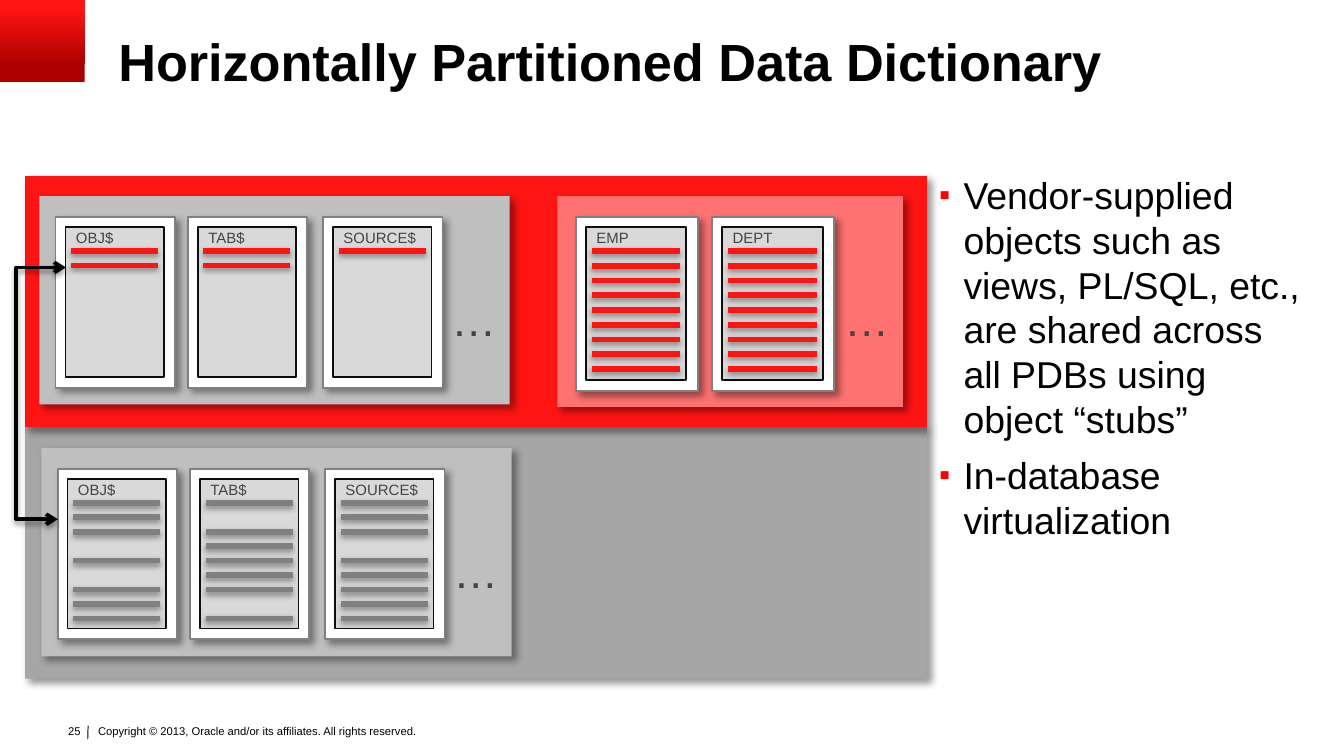
from lxml import etree
from pptx import Presentation
from pptx.dml.color import RGBColor
from pptx.enum.shapes import MSO_CONNECTOR, MSO_SHAPE
from pptx.enum.text import MSO_AUTO_SIZE, PP_ALIGN
from pptx.oxml.ns import qn
from pptx.util import Pt

RECTANGLE = MSO_SHAPE.RECTANGLE
STRAIGHT, ELBOW = MSO_CONNECTOR.STRAIGHT, MSO_CONNECTOR.ELBOW
LEFT, RIGHT = PP_ALIGN.LEFT, PP_ALIGN.RIGHT
FIT_SHAPE = MSO_AUTO_SIZE.SHAPE_TO_FIT_TEXT
FONT = "Arial"
RED, GRAY, BLACK, LABEL = "FF1414", "808080", "000000", "424545"
BOX_SHADOW = (40, 4, 3, 45)
LINE_SHADOW = (38, 3.1, 1.6, 90)
SYSTEM_STEPS = (8.7, 79.6, 152)
USER_STEPS = (9.9, 82.9)
LABEL_WIDTHS = {"OBJ$": 35, "TAB$": 34.2, "SOURCE$": 53.6, "EMP": 32, "DEPT": 36.3}
ROW_PITCH = 7.74


def color(value):
    """Turn a hex string into a colour."""
    return RGBColor.from_string(value)


def add_element(parent, tag, **attributes):
    """Append a drawing element with the given attributes."""
    values = {key: str(value) for key, value in attributes.items()}
    return etree.SubElement(parent, qn(tag), values)


def fill_effects(effects, opacity, blur, distance, angle):
    """Put an outer shadow into an effect list."""
    shadow = add_element(effects, "a:outerShdw", blurRad=Pt(blur), dist=Pt(distance),
                         dir=angle * 60000, algn="tl", rotWithShape=0)
    tint = add_element(shadow, "a:srgbClr", val=BLACK)
    add_element(tint, "a:alpha", val=opacity * 1000)


def add_box(page, left, top, width, height, fill, line=None, shadow=True):
    """Add a rectangle with optional outline and shadow."""
    box = page.shapes.add_shape(RECTANGLE, Pt(left), Pt(top), Pt(width), Pt(height))
    box.fill.solid()
    box.fill.fore_color.rgb = color(fill)
    if line:
        box.line.color.rgb = color(line)
        box.line.width = Pt(1)
    else:
        box.line.fill.background()
    box.shadow.inherit = False
    if shadow:
        fill_effects(box._element.spPr.find(qn("a:effectLst")), *BOX_SHADOW)
    return box


def add_line(page, start, end, line, width, kind=STRAIGHT, shadow=True):
    """Add a connector between two points."""
    connector = page.shapes.add_connector(kind, *map(Pt, start + end))
    connector.line.color.rgb = color(line)
    connector.line.width = Pt(width)
    effects = add_element(connector._element.spPr, "a:effectLst")
    if shadow:
        fill_effects(effects, *LINE_SHADOW)
    return connector


def add_link(page, start, end, turn):
    """Add a double-headed elbow link that turns at the given x."""
    link = add_line(page, start, end, BLACK, 2, ELBOW)
    properties = link._element.spPr
    bend = round((start[0] - turn) / (start[0] - end[0]) * 100000)
    guides = properties.find(qn("a:prstGeom")).get_or_add_avLst()
    add_element(guides, "a:gd", name="adj1", fmla=f"val {bend}")
    outline = properties.find(qn("a:ln"))
    for tag in ("a:headEnd", "a:tailEnd"):
        add_element(outline, tag, type="arrow")


def add_text(page, text, left, top, width, height, size, ink=BLACK, bold=False,
             align=LEFT, wrap=True, insets=(7.2, 3.6), spacing=None, bullet=None):
    """Add a text box with one paragraph per line of text."""
    box = page.shapes.add_textbox(Pt(left), Pt(top), Pt(width), Pt(height))
    frame = box.text_frame
    frame.word_wrap = wrap
    if not wrap:
        frame.auto_size = FIT_SHAPE
    frame.margin_left = frame.margin_right = Pt(insets[0])
    frame.margin_top = frame.margin_bottom = Pt(insets[1])
    frame.text = text
    for para in frame.paragraphs:
        para.alignment = align
        if bullet:
            add_bullet(para, bullet)
        if spacing:
            para.line_spacing = spacing
        for span in para.runs:
            span.font.name = FONT
            span.font.size = Pt(size)
            span.font.bold = bold
            span.font.color.rgb = color(ink)


def add_bullet(para, symbol):
    """Give a paragraph a red hanging bullet and space after."""
    properties = para._p.get_or_add_pPr()
    properties.set("marL", str(Pt(18)))
    properties.set("indent", str(Pt(-13)))
    add_element(add_element(properties, "a:buClr"), "a:srgbClr", val="FF0000")
    add_element(properties, "a:buSzPct", val=85000)
    add_element(properties, "a:buFont", typeface=FONT)
    add_element(properties, "a:buChar", char=symbol)
    para.space_after = Pt(6)


def add_card(page, name, left, top, ink, rows, scale):
    """Add a table card with stripes in the given row slots."""
    add_box(page, left, top, 64 * scale, 91.4 * scale, "FFFFFF", GRAY)
    add_box(page, left + 5.3, top + 5.3, 52.8 * scale, 80.2 * scale,
            "D9D9D9", "0D0D0D", shadow=False)
    add_text(page, name, left + 3.8, top + 2.6, LABEL_WIDTHS[name], 17.3, 8, LABEL, wrap=False)
    for row in rows:
        y = top + 18.2 + row * ROW_PITCH * scale
        add_line(page, (left + 8.3, y), (left + 8.3 + 46.6 * scale, y), ink, 3)


def add_panel(page, left, top, width, height, fill, ink, cards, steps=SYSTEM_STEPS, scale=1):
    """Add a panel of table cards that ends in an ellipsis."""
    add_box(page, left, top, width, height, fill)
    for step, (name, rows) in zip(steps, cards):
        add_card(page, name, left + step, top + 11.2, ink, rows, scale)
    add_text(page, "…", left + width - 38.4, top + 47.7, 38.9, 36, 24, LABEL, wrap=False)


def add_corner(page):
    """Add the red gradient block in the corner."""
    corner = add_box(page, 0, 0, 45.4, 43.9, RED, shadow=False)
    corner.fill.gradient()
    corner.fill.gradient_angle = 90
    stops = corner.fill.gradient_stops
    for stop, position, shade in zip(stops, (0.2, 0.9), ("AA0000", RED)):
        stop.position = position
        stop.color.rgb = color(shade)


def add_footer(page):
    """Add the page number, divider and copyright line."""
    add_text(page, "Copyright © 2013, Oracle and/or its affiliates. All rights reserved.",
             49.7, 386.6, 197.3, 17.3, 6, insets=(2.9, 1.4))
    add_line(page, (47.2, 388.8), (47, 396), BLACK, 0.5, shadow=False)
    add_text(page, "25", 27.9, 384.5, 22.3, 14.4, 6, align=RIGHT, wrap=False)


def main():
    """Build the slide and save the deck."""
    deck = Presentation()
    deck.slide_width, deck.slide_height = Pt(720), Pt(405)
    page = deck.slides.add_slide(deck.slide_layouts[6])
    add_footer(page)
    add_corner(page)
    add_text(page, "Horizontally Partitioned Data Dictionary", 63.4, 19.4, 648, 31.7,
             28, bold=True, insets=(0, 0), spacing=0.9)
    for top, fill in ((229, "A6A6A6"), (94.4, RED)):
        add_box(page, 13.5, top, 483.1, 134.6, fill)
    system_rows = [("OBJ$", (0, 1, 2, 4, 6, 7, 8)), ("TAB$", (0, 2, 3, 4, 5, 6, 8)),
                   ("SOURCE$", (0, 1, 2, 4, 5, 6, 7, 8))]
    local_rows = [("OBJ$", range(2)), ("TAB$", range(2)), ("SOURCE$", range(1))]
    user_rows = [("EMP", range(9)), ("DEPT", range(9))]
    add_panel(page, 22.2, 240, 252, 111.6, "BFBFBF", GRAY, system_rows)
    add_panel(page, 298.7, 105.1, 185, 113, "FF7272", RED, user_rows, USER_STEPS, 1.02)
    add_panel(page, 21.1, 105.1, 252, 111.6, "BFBFBF", RED, local_rows)
    add_link(page, (35.3, 143.3), (31, 278.2), turn=8.8)
    add_text(page, "Vendor-supplied objects such as\vviews, PL/SQL, etc.,\vare shared across"
             "\vall PDBs using\vobject “stubs”\nIn-database virtualization",
             498.2, 92.2, 213.1, 177.1, 20, insets=(0, 0), bullet="▪")
    deck.save("out.pptx")


if __name__ == "__main__":
    main()
